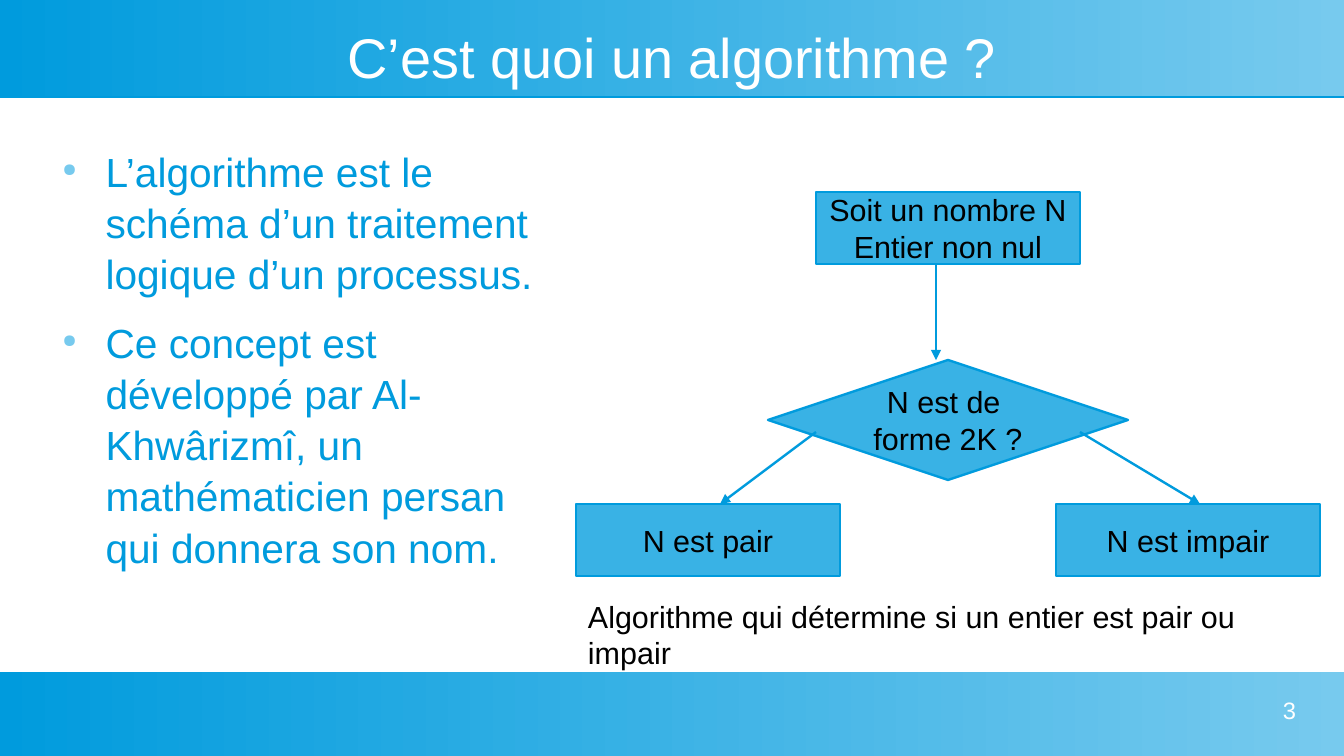
from lxml.etree import SubElement
from pptx import Presentation
from pptx.dml.color import RGBColor
from pptx.enum.dml import MSO_LINE
from pptx.enum.shapes import MSO_CONNECTOR, MSO_SHAPE
from pptx.enum.text import MSO_ANCHOR, PP_ALIGN
from pptx.oxml.ns import qn
from pptx.util import Cm, Pt

COLORS = {"deep": "009BDD", "light": "77CAEE", "node": "39B2E5",
          "white": "FFFFFF", "black": "000000"}
FONT = "Arial"
LINE_WIDTH = Pt(1.42)
WIDTH, HEIGHT = 28, 15.75
NODE_SIZE = (5.5, 1.5)


def color(name):
    return RGBColor.from_string(COLORS[name])


def write(frame, lines, size, ink, align=PP_ALIGN.LEFT, anchor=MSO_ANCHOR.TOP,
          margins=(0, 0), wrap=True):
    """Fill a text frame with one paragraph per line; margins are in cm."""
    frame.word_wrap = wrap
    frame.vertical_anchor = anchor
    frame.margin_left = frame.margin_right = Cm(margins[0])
    frame.margin_top = frame.margin_bottom = Cm(margins[1])
    for index, line in enumerate(lines):
        para = frame.paragraphs[0] if index == 0 else frame.add_paragraph()
        para.alignment = align
        span = para.add_run()
        span.text = line
        span.font.name = FONT
        span.font.size = Pt(size)
        span.font.color.rgb = color(ink)


def add_text(page, box, lines, size, ink, **options):
    frame = page.shapes.add_textbox(*map(Cm, box)).text_frame
    write(frame, lines, size, ink, **options)
    return frame


def add_line(page, start, end, width=LINE_WIDTH, arrow=False):
    line = page.shapes.add_connector(MSO_CONNECTOR.STRAIGHT, *map(Cm, start + end))
    line.line.color.rgb = color("deep")
    line.line.width = width
    line.line.dash_style = MSO_LINE.SOLID
    if arrow:
        SubElement(line.line._get_or_add_ln(), qn("a:tailEnd"), type="triangle")
    SubElement(line._element.spPr, qn("a:effectLst"))


def add_band(page, box):
    band = page.shapes.add_shape(MSO_SHAPE.RECTANGLE, *map(Cm, box))
    band.shadow.inherit = False
    band.line.fill.background()
    band.fill.gradient()
    band.fill.gradient_angle = 0
    for stop, name, position in zip(band.fill.gradient_stops, ("deep", "light"), (0, 1)):
        stop.color.rgb = color(name)
        stop.position = position


def add_header(page, box, title):
    left, top, width, height = box
    add_band(page, box)
    edge = top + height + 0.02
    add_line(page, (left, edge), (left + width, edge), width=Pt(0.9))
    add_text(page, (left + 1, top + 0.5, width - 2, 1.33), [title], 33, "white",
             align=PP_ALIGN.CENTER, anchor=MSO_ANCHOR.MIDDLE)


def add_footer(page, box, number):
    left, top, width, _ = box
    add_band(page, box)
    add_text(page, (left + width - 7.5, top + 0.5, 6.5, 1), [number], 14, "white",
             align=PP_ALIGN.RIGHT)


def add_bullets(page, box, lines):
    frame = add_text(page, box, lines, 24, "deep")
    for para in frame.paragraphs:
        para.space_before = Pt(10.6)
        para.line_spacing = 1.05
        properties = para._p.get_or_add_pPr()
        properties.set("marL", str(Cm(1.2)))
        properties.set("indent", str(Cm(-0.9)))
        bullet_color = SubElement(properties, qn("a:buClr"))
        SubElement(bullet_color, qn("a:srgbClr"), val=COLORS["light"])
        SubElement(properties, qn("a:buSzPct"), val="45000")
        SubElement(properties, qn("a:buChar"), char="●")


def add_node(page, kind, box, lines):
    node = page.shapes.add_shape(kind, *map(Cm, box))
    node.shadow.inherit = False
    node.fill.solid()
    node.fill.fore_color.rgb = color("node")
    node.line.color.rgb = color("deep")
    node.line.width = LINE_WIDTH
    write(node.text_frame, lines, 18, "black", align=PP_ALIGN.CENTER,
          anchor=MSO_ANCHOR.MIDDLE, margins=(0.25, 0.13), wrap=False)


def add_flowchart(page, box):
    """Draw the parity test: start, decision, two outcomes and a caption."""
    left, top, width, height = box
    process, decision = MSO_SHAPE.FLOWCHART_PROCESS, MSO_SHAPE.FLOWCHART_DECISION
    outcome_top = top + 6.5
    nodes = [
        (process, (left + 5, top) + NODE_SIZE, ["Soit un nombre N", "Entier non nul"]),
        (decision, (left + 4, top + 3.5, 7.5, 2.5), ["N est de ", "forme 2K\u00a0?"]),
        (process, (left, outcome_top) + NODE_SIZE, ["N est pair"]),
        (process, (left + 10, outcome_top) + NODE_SIZE, ["N est impair"]),
    ]
    for kind, place, lines in nodes:
        add_node(page, kind, place, lines)
    arrows = [
        ((left + 7.5, top + 1.5), (left + 7.5, top + 3.5)),
        ((left + 5, top + 5), (left + 3, outcome_top)),
        ((left + 10.5, top + 5), (left + 13, outcome_top)),
    ]
    for start, end in arrows:
        add_line(page, start, end, arrow=True)
    caption_height = 1.68
    add_text(page, (left, top + height - caption_height, width, caption_height),
             ["Algorithme qui détermine si un entier est pair ou impair"],
             18, "black", margins=(0.25, 0.13))


def main():
    deck = Presentation()
    deck.slide_width, deck.slide_height = Cm(WIDTH), Cm(HEIGHT)
    page = deck.slides.add_slide(deck.slide_layouts[6])
    add_header(page, (0, 0, WIDTH, 2), "C’est quoi un algorithme\u00a0?")
    add_footer(page, (0, 14, WIDTH, HEIGHT - 14), "3")
    add_bullets(page, (1, 3, 10.5, 10), [
        "L’algorithme est le schéma d’un traitement logique d’un processus.",
        "Ce concept est développé par Al-Khwârizmî, un mathématicien persan "
        "qui donnera son nom.",
    ])
    add_flowchart(page, (12, 4, 15.5, 10))
    deck.save("out.pptx")


if __name__ == "__main__":
    main()
